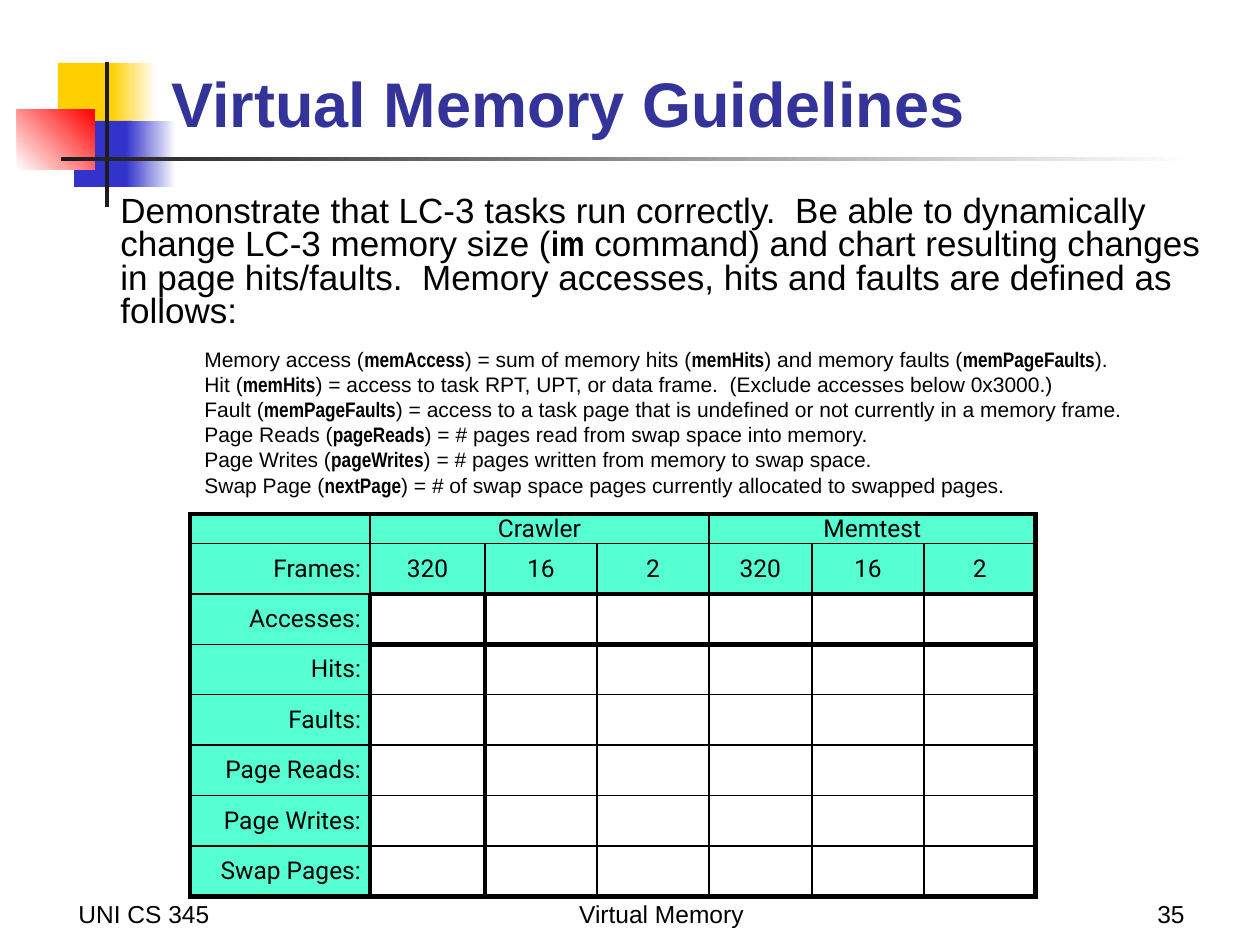
from dataclasses import dataclass
from itertools import accumulate

from lxml.etree import SubElement
from pptx import Presentation
from pptx.dml.color import RGBColor
from pptx.enum.shapes import MSO_SHAPE
from pptx.enum.text import MSO_ANCHOR, PP_ALIGN
from pptx.oxml.ns import qn
from pptx.util import Emu, Pt

EMU_PER_PX = 914400 / 126
COLORS = {
    "yellow": "FFCF01", "blue": "3333CC", "red": "FF0000", "white": "FFFFFF",
    "dark": "1C1C1C", "title": "333399", "black": "000000", "mint": "56FFD2",
}
THIN, THICK = 1, 3


def px(length: float) -> Emu:
    return Emu(round(length * EMU_PER_PX))


def rgb(name: str) -> RGBColor:
    return RGBColor.from_string(COLORS[name])


@dataclass
class Block:
    left: int
    top: int
    width: int
    height: int
    color: str
    fade_to: str = ""
    angle: int = 0


@dataclass
class Label:
    text: str
    left: int
    top: int
    width: int
    height: int
    align: PP_ALIGN = PP_ALIGN.LEFT
    size: int = 14
    color: str = "black"
    bold: bool = False


@dataclass
class Definition:
    term: str
    variable: str
    meaning: str


BLOCKS = [
    Block(58, 63, 60, 66, "yellow"),
    Block(111, 63, 45, 66, "yellow", "white"),
    Block(74, 121, 58, 66, "blue"),
    Block(126, 121, 50, 66, "blue", "white"),
    Block(17, 110, 78, 60, "white", "red", 45),
    Block(105, 62, 4, 145, "dark"),
    Block(61, 157, 1134, 4, "dark", "white"),
]
LABELS = [
    Label("Virtual Memory Guidelines", 159, 26, 1074, 120, size=36, color="title", bold=True),
    Label("UNI CS 345", 66, 872, 262, 63),
    Label("Virtual Memory", 462, 872, 399, 63, PP_ALIGN.CENTER),
    Label("35", 935, 872, 262, 63, PP_ALIGN.RIGHT),
]
INTRO = (
    "Demonstrate that LC-3 tasks run correctly.  Be able to dynamically change LC-3 memory size (|im|"
    " command) and chart resulting changes in page hits/faults.  Memory accesses, hits and faults"
    " are defined as follows:"
)
DEFINITIONS = [
    Definition("Memory access", "memAccess",
               "sum of memory hits (|memHits|) and memory faults (|memPageFaults|)."),
    Definition("Hit", "memHits",
               "access to task RPT, UPT, or data frame.  (Exclude accesses below 0x3000.)"),
    Definition("Fault", "memPageFaults",
               "access to a task page that is undefined or not currently in a memory frame."),
    Definition("Page Reads", "pageReads", "# pages read from swap space into memory."),
    Definition("Page Writes", "pageWrites", "# pages written from memory to swap space."),
    Definition("Swap Page", "nextPage",
               "# of swap space pages currently allocated to swapped pages."),
]
FRAME_COUNTS = ["320", "16", "2"]
MEASURES = ["Accesses:", "Hits:", "Faults:", "Page Reads:", "Page Writes:", "Swap Pages:"]
TABLE_ROWS = [
    ["", "Crawler", "", "", "Memtest", "", ""],
    ["Frames:"] + FRAME_COUNTS * 2,
] + [[measure] + [""] * 6 for measure in MEASURES]
COLUMN_EDGES = [190, 370, 485, 597, 709, 812, 924, 1036]
ROW_HEIGHTS = [29] + [50.4] * 7


def add_span(para, text: str, *, size: int, font: str = "Arial", color: str = "black",
             bold: bool = False) -> None:
    span = para.add_run()
    span.text = text
    span.font.name = font
    span.font.size = Pt(size)
    span.font.bold = bold
    span.font.color.rgb = rgb(color)


def add_marked_text(para, text: str, size: int) -> None:
    for index, part in enumerate(text.split("|")):
        is_code = index % 2 == 1
        add_span(para, part, size=size, font="Arial Narrow" if is_code else "Arial", bold=is_code)


def add_block(page, block: Block) -> None:
    shape = page.shapes.add_shape(MSO_SHAPE.RECTANGLE, px(block.left), px(block.top),
                                  px(block.width), px(block.height))
    shape.shadow.inherit = False
    shape.line.fill.background()
    if block.fade_to:
        shape.fill.gradient()
        shape.fill.gradient_angle = block.angle
        for stop, color in zip(shape.fill.gradient_stops, (block.color, block.fade_to)):
            stop.color.rgb = rgb(color)
    else:
        shape.fill.solid()
        shape.fill.fore_color.rgb = rgb(block.color)


def add_label(page, label: Label) -> None:
    box = page.shapes.add_textbox(px(label.left), px(label.top), px(label.width), px(label.height))
    frame = box.text_frame
    frame.word_wrap = True
    frame.vertical_anchor = MSO_ANCHOR.BOTTOM
    para = frame.paragraphs[0]
    para.alignment = label.align
    add_span(para, label.text, size=label.size, color=label.color, bold=label.bold)


def add_body(page) -> None:
    box = page.shapes.add_textbox(px(108), px(190), px(1128), px(363))
    frame = box.text_frame
    frame.word_wrap = True
    intro = frame.paragraphs[0]
    intro.line_spacing = 0.8
    intro.space_before = Pt(4)
    add_marked_text(intro, INTRO, 20)
    for index, item in enumerate(DEFINITIONS):
        para = frame.add_paragraph()
        para.line_spacing = 0.8
        para.space_before = Pt(2.8 if index else 12)
        para._p.get_or_add_pPr().set("marL", str(px(84)))
        add_marked_text(para, f"{item.term} (|{item.variable}|) = {item.meaning}", 12)


def set_border(cell, side: str, width: int) -> None:
    line = SubElement(cell._tc.get_or_add_tcPr(), qn(f"a:ln{side}"), w=str(Pt(width)))
    fill = SubElement(line, qn("a:solidFill"))
    SubElement(fill, qn("a:srgbClr"), val=COLORS["black"])


def column_line(edge: int, row: int) -> int:
    return THICK if edge in (0, 7) or (edge in (1, 2) and row >= 2) else THIN


def row_line(edge: int, column: int) -> int:
    return THICK if edge in (0, 8) or (edge in (2, 3) and column >= 1) else THIN


def format_cell(cell, text: str, row: int, column: int) -> None:
    cell.margin_left = cell.margin_right = px(9)
    cell.margin_top = cell.margin_bottom = 0
    cell.vertical_anchor = MSO_ANCHOR.MIDDLE
    set_border(cell, "L", column_line(column, row))
    set_border(cell, "R", column_line(column + cell.span_width, row))
    set_border(cell, "T", row_line(row, column))
    set_border(cell, "B", row_line(row + 1, column))
    if row < 2 or column == 0:
        cell.fill.solid()
        cell.fill.fore_color.rgb = rgb("mint")
    else:
        cell.fill.background()
    para = cell.text_frame.paragraphs[0]
    para.alignment = PP_ALIGN.CENTER if column else PP_ALIGN.RIGHT
    if text:
        add_span(para, text, size=14, font="Roboto")
    else:
        SubElement(para._p, qn("a:endParaRPr"), sz="1400")


def add_results_table(page) -> None:
    left, right = COLUMN_EDGES[0], COLUMN_EDGES[-1]
    *_, height = accumulate(ROW_HEIGHTS)
    table = page.shapes.add_table(len(TABLE_ROWS), len(COLUMN_EDGES) - 1, px(left), px(514),
                                  px(right - left), px(height)).table
    table.first_row = table.horz_banding = False
    for column, start, end in zip(table.columns, COLUMN_EDGES, COLUMN_EDGES[1:]):
        column.width = px(end - start)
    for row, row_height in zip(table.rows, ROW_HEIGHTS):
        row.height = px(row_height)
    for first in (1, 4):
        table.cell(0, first).merge(table.cell(0, first + 2))
    for row, texts in enumerate(TABLE_ROWS):
        for column, text in enumerate(texts):
            format_cell(table.cell(row, column), text, row, column)


def main() -> None:
    deck = Presentation()
    deck.slide_width, deck.slide_height = px(1260), px(945)
    page = deck.slides.add_slide(deck.slide_layouts[6])
    for block in BLOCKS:
        add_block(page, block)
    for label in LABELS:
        add_label(page, label)
    add_results_table(page)
    add_body(page)
    deck.save("out.pptx")


if __name__ == "__main__":
    main()
